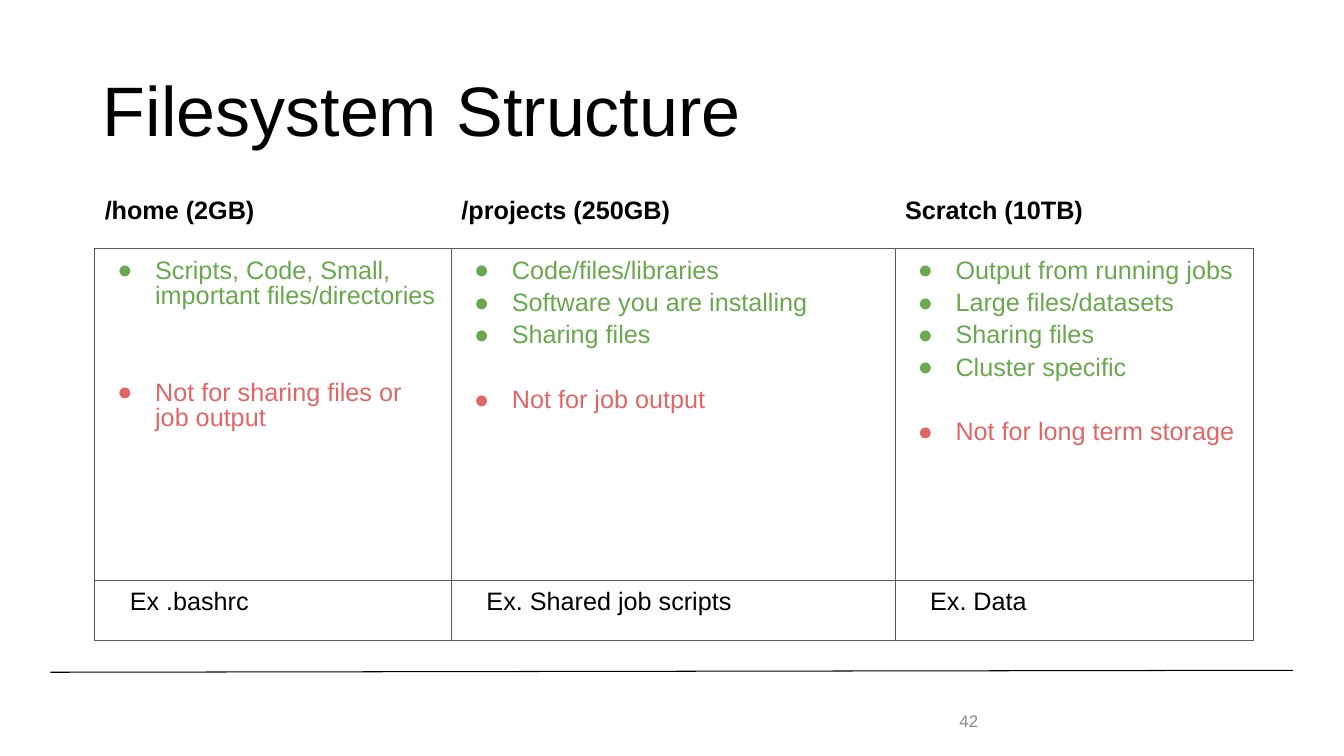
from lxml import etree
from pptx import Presentation
from pptx import util as u
from pptx.dml.color import RGBColor
from pptx.enum import shapes, text
from pptx.oxml import ns

BLACK, WHITE, GRAY, RULE = "000000", "FFFFFF", "888888", "595959"
GREEN, RED = "6AA84F", "E06666"


def style(para, size, color, bold=False):
    para.font.name = "Arial"
    para.font.size = u.Pt(size)
    para.font.bold = bold
    para.font.color.rgb = RGBColor.from_string(color)


def add_xml(parent, tag, **attributes):
    return etree.SubElement(parent, ns.qn(tag), attributes)


deck = Presentation()
deck.slide_width, deck.slide_height = u.Cm(33.87), u.Cm(19.05)
page = deck.slides.add_slide(deck.slide_layouts[5])

rule = page.shapes.add_connector(
    shapes.MSO_CONNECTOR.STRAIGHT, u.Cm(1.27), u.Cm(16.94), u.Cm(32.59), u.Cm(16.89))
rule.line.color.rgb = RGBColor.from_string(BLACK)
rule.line.width = u.Pt(0.75)
add_xml(rule._element.spPr, "a:effectLst")

title = page.shapes.title
title.left, title.top, title.width, title.height = u.Cm(2.34), u.Cm(1.02), u.Cm(29.21), u.Cm(3.68)
title.text_frame.text = "Filesystem Structure"
title.text_frame.auto_size = text.MSO_AUTO_SIZE.NONE
title.text_frame.vertical_anchor = text.MSO_ANCHOR.MIDDLE
heading = title.text_frame.paragraphs[0]
heading.alignment = text.PP_ALIGN.LEFT
heading.line_spacing = 0.9
style(heading, 50, BLACK)

box = page.shapes.add_textbox(u.Cm(23.93), u.Cm(17.65), u.Cm(1.9), u.Cm(1.02))
box.text_frame.word_wrap = True
box.text_frame.vertical_anchor = text.MSO_ANCHOR.MIDDLE
box.text_frame.text = "42"
style(box.text_frame.paragraphs[0], 12, GRAY)

filesystems = [
    ("/home (2GB)", 8.99, ["Scripts, Code, Small, important files/directories"],
     "Not for sharing files or job output", 51, "Ex .bashrc"),
    ("/projects (250GB)", 11.18,
     ["Code/files/libraries", "Software you are installing", "Sharing files"],
     "Not for job output", 28, "Ex. Shared job scripts"),
    ("Scratch (10TB)", 9.04,
     ["Output from running jobs", "Large files/datasets", "Sharing files", "Cluster specific"],
     "Not for long term storage", 28, "Ex. Data"),
]
row_heights = [1.57, 8.36, 1.5]
table = page.shapes.add_table(
    3, 3, u.Cm(2.39), u.Cm(4.7), u.Cm(29.21), u.Cm(sum(row_heights))).table
table.first_row = table.horz_banding = False
for row, height in zip(table.rows, row_heights):
    row.height = u.Cm(height)

for column, (name, width, uses, warning, gap, example) in enumerate(filesystems):
    table.columns[column].width = u.Cm(width)
    table.cell(0, column).text = name
    style(table.cell(0, column).text_frame.paragraphs[0], 18, BLACK, True)

    frame = table.cell(1, column).text_frame
    items = [(use, GREEN, 5) for use in uses] + [(warning, RED, gap)]
    for index, (item, color, space) in enumerate(items):
        para = frame.add_paragraph() if index else frame.paragraphs[0]
        para.text = item
        properties = para._p.get_or_add_pPr()
        properties.set("marL", str(u.Cm(1.27)))
        properties.set("indent", str(u.Cm(-0.95)))
        add_xml(add_xml(properties, "a:buClr"), "a:srgbClr", val=color)
        add_xml(properties, "a:buFont", typeface="Arial")
        add_xml(properties, "a:buChar", char="●")
        para.line_spacing = 0.9
        if index:
            para.space_before = u.Pt(space)
        style(para, 18, color)

    table.cell(2, column).text = example
    para = table.cell(2, column).text_frame.paragraphs[0]
    properties = para._p.get_or_add_pPr()
    properties.set("marL", str(u.Cm(1.27)))
    properties.set("indent", str(u.Cm(-0.64)))
    para.line_spacing = 0.9
    style(para, 18, BLACK)

    for row in range(3):
        cell = table.cell(row, column)
        cell.margin_left = cell.margin_right = u.Cm(0.25)
        cell.margin_top = cell.margin_bottom = u.Cm(0.25)
        properties = cell._tc.get_or_add_tcPr()
        for side in ("L", "R", "T", "B"):
            color = WHITE if row == 0 and side != "B" else RULE
            border = add_xml(properties, f"a:ln{side}", w=str(u.Pt(0.75)))
            add_xml(add_xml(border, "a:solidFill"), "a:srgbClr", val=color)
        cell.fill.background()

deck.save("out.pptx")
